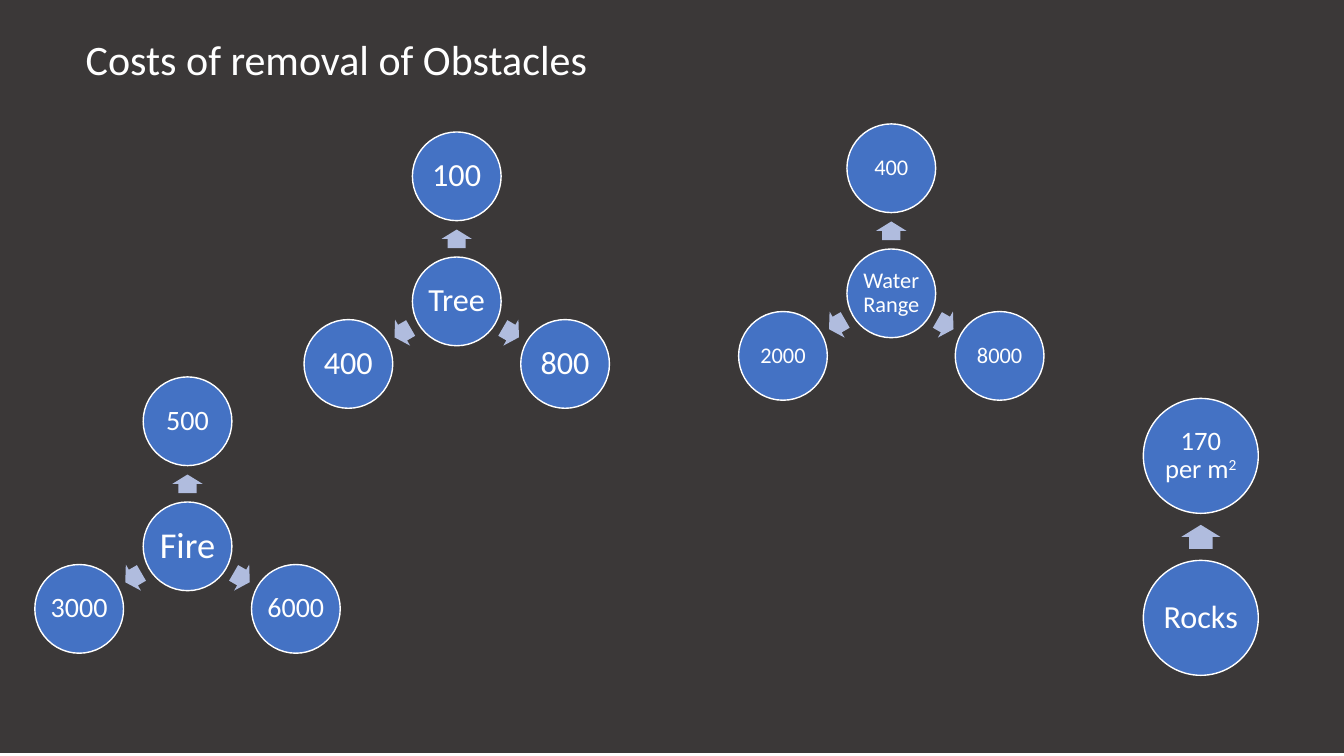
"""Build the slide showing the removal cost of each obstacle."""
from dataclasses import dataclass
from math import cos, radians, sin

from pptx import Presentation
from pptx.dml.color import RGBColor
from pptx.enum.shapes import MSO_SHAPE
from pptx.enum.text import MSO_ANCHOR, MSO_AUTO_SIZE, PP_ALIGN
from pptx.util import Inches, Pt

WHITE, DARK, BLUE, PALE = "FFFFFF", "3B3838", "4472C4", "B0BCDE"
ORBIT, ARROW_LENGTH, ARROW_WIDTH = 1.41, 0.21, 0.34
ANGLES = (270, 30, 150)
INSET = 0.02


@dataclass
class Cluster:
    name: str
    x: float
    y: float
    costs: tuple[str, ...]
    name_size: int
    cost_size: int
    diameter: float = 0.88
    superscript: str = ""


CLUSTERS = (
    Cluster("Tree", 4.53, 2.99, ("100", "800", "400"), 23, 23),
    Cluster("Water Range", 8.84, 2.91, ("400", "8000", "2000"), 16, 16),
    Cluster("Fire", 1.86, 5.42, ("500", "6000", "3000"), 26, 20),
    Cluster("Rocks", 11.91, 6.13, ("170 per m",), 23, 19, diameter=1.14, superscript="2"),
)


def rgb(color: str) -> RGBColor:
    return RGBColor.from_string(color)


def add_shape(s, kind, x: float, y: float, w: float, h: float, fill: str):
    sp = s.shapes.add_shape(kind, Inches(x - w / 2), Inches(y - h / 2), Inches(w), Inches(h))
    sp.shadow.inherit = False
    sp.fill.solid()
    sp.fill.fore_color.rgb = rgb(fill)
    sp.line.fill.background()
    return sp


def format_text(tf, align, size: int) -> None:
    formats = {"word_wrap": True, "auto_size": MSO_AUTO_SIZE.NONE,
               "vertical_anchor": MSO_ANCHOR.MIDDLE}
    for name, value in formats.items():
        setattr(tf, name, value)
    p = tf.paragraphs[0]
    p.alignment = align
    p.line_spacing = 0.9
    for r in p.runs:
        for name, value in {"size": Pt(size), "name": "Calibri"}.items():
            setattr(r.font, name, value)
        r.font.color.rgb = rgb(WHITE)


def add_circle(s, c: Cluster, x: float, y: float, text: str, size: int,
               superscript: str = "") -> None:
    sp = add_shape(s, MSO_SHAPE.OVAL, x, y, c.diameter, c.diameter, BLUE)
    sp.line.color.rgb = rgb(WHITE)
    sp.line.width = Pt(1)
    tf = sp.text_frame
    for side in ("left", "top", "right", "bottom"):
        setattr(tf, f"margin_{side}", Inches(INSET))
    p = tf.paragraphs[0]
    p.add_run().text = text
    if superscript:
        r = p.add_run()
        r.text = superscript
        r._r.get_or_add_rPr().set("baseline", "30000")
    format_text(tf, PP_ALIGN.CENTER, size)


def add_cluster(s, c: Cluster) -> None:
    add_circle(s, c, c.x, c.y, c.name, c.name_size)
    orbit = ORBIT * c.diameter
    for angle, cost in zip(ANGLES, c.costs):
        dx, dy = orbit * cos(radians(angle)), orbit * sin(radians(angle))
        arrow = add_shape(s, MSO_SHAPE.RIGHT_ARROW, c.x + dx / 2, c.y + dy / 2,
                          ARROW_LENGTH * c.diameter, ARROW_WIDTH * c.diameter, PALE)
        arrow.adjustments[0] = 0.6
        arrow.adjustments[1] = 0.5
        arrow.rotation = angle
        add_circle(s, c, c.x + dx, c.y + dy, cost, c.cost_size, c.superscript)


def main() -> None:
    prs = Presentation()
    prs.slide_width, prs.slide_height = Inches(13.33), Inches(7.5)
    s = prs.slides.add_slide(prs.slide_layouts[5])
    backdrop = add_shape(s, MSO_SHAPE.RECTANGLE, 13.33 / 2, 7.47 / 2, 13.33, 7.47, DARK)
    title = s.shapes.title
    title._element.addprevious(backdrop._element)
    place = {"left": 0.75, "top": -0.11, "width": 11.16, "height": 1.45}
    for name, value in place.items():
        setattr(title, name, Inches(value))
    title.text_frame.text = "Costs of removal of Obstacles"
    format_text(title.text_frame, PP_ALIGN.LEFT, 30)
    for c in CLUSTERS:
        add_cluster(s, c)
    prs.save("out.pptx")


if __name__ == "__main__":
    main()
